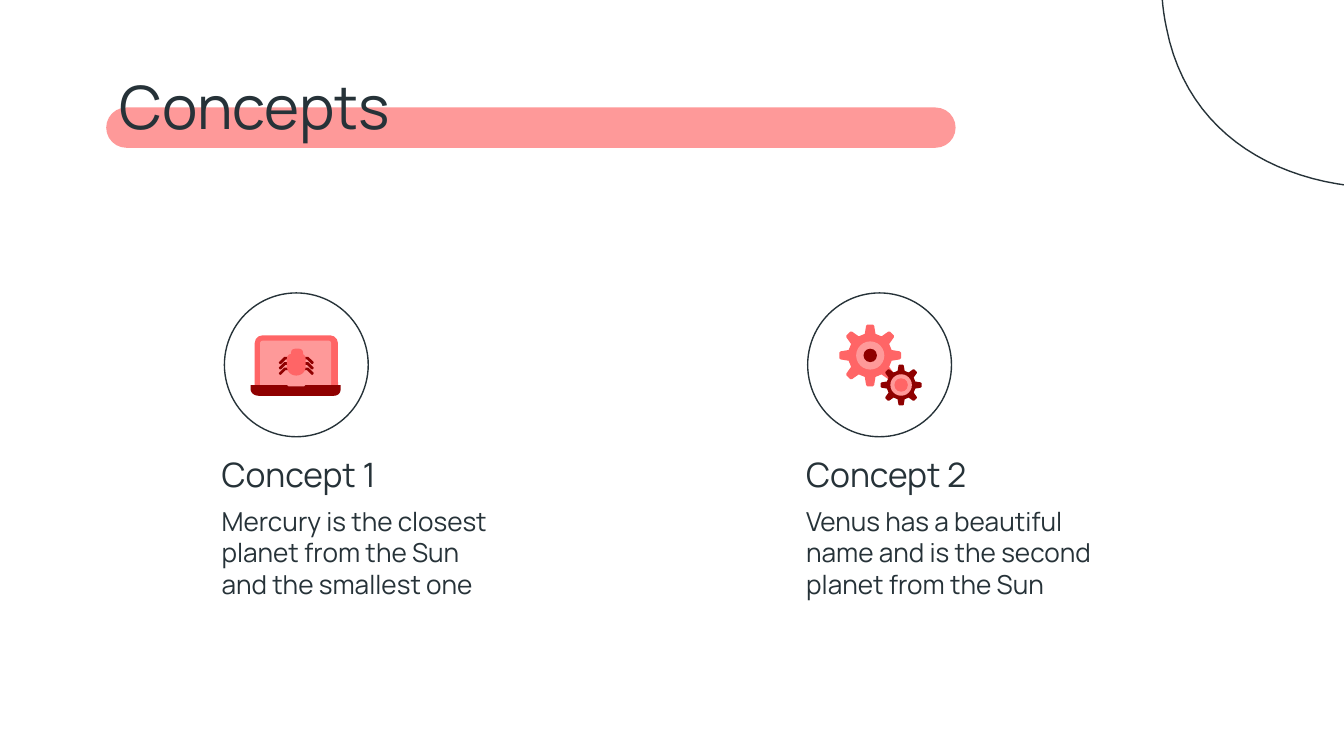
import math
import pptx
import pptx.dml.color
import pptx.enum.shapes
import pptx.enum.text
import pptx.util

# Content
TITLE = "Concepts"
ITEMS = [
    ("Concept 1", "Mercury is the closest planet from the Sun\vand the smallest one"),
    ("Concept 2", "Venus has a beautiful name and is the second planet from the Sun"),
]

THEME = {
    "font": "Manrope", "ink": "263238", "pale": "FE9999", "mid": "FF6566",
    "dark": "8F0000", "title": 32, "head": 18, "body": 14, "line": 0.75,
}
WIDE = 10
HIGH = WIDE * 9 / 16
COLS = {"text": (1.55, 5.9), "icon": (1.67, 6.01)}
ROWS = {"icon": 2.18, "head": 3.28, "body": 3.66}
DISC = 1.07

# Outlines: a pair is a corner, six numbers are a Bezier curve
BLOB = [
    (12.11, -1.85), (12.03, -1.85, 11.93, -1.82, 11.83, -1.77),
    (11.44, -1.57, 11.41, -1.13, 10.88, -1.11),
    (10.83, -1.1, 10.78, -1.1, 10.73, -1.1),
    (10.48, -1.1, 10.24, -1.13, 10.02, -1.13),
    (9.75, -1.13, 9.48, -1.09, 9.18, -0.93),
    (8.68, -0.66, 8.58, -0.26, 8.68, 0.21),
    (8.84, 1.02, 9.54, 1.4, 10.34, 1.4),
    (10.69, 1.4, 11.05, 1.33, 11.39, 1.2),
    (12.49, 0.78, 13, -0.2, 12.75, -1.17),
    (12.68, -1.46, 12.47, -1.85, 12.11, -1.85),
]
# Icon parts are measured from the disc's centre
BASE = [
    (-0.34, 0.15), (-0.34, 0.18), (-0.34, 0.21, -0.31, 0.23, -0.28, 0.23),
    (0.28, 0.23), (0.31, 0.23, 0.33, 0.21, 0.33, 0.18), (0.33, 0.15),
    (0.07, 0.15), (0.06, 0.16), (-0.06, 0.16), (-0.07, 0.15),
]
BODY = [
    (-0.04, -0.08), (-0.06, -0.08, -0.07, -0.06, -0.07, -0.04), (-0.07, 0.01),
    (-0.07, 0.05, -0.04, 0.08, 0, 0.08), (0.04, 0.08, 0.07, 0.05, 0.07, 0.01),
    (0.07, -0.04), (0.07, -0.06, 0.06, -0.08, 0.04, -0.08),
]
LEG = [
    (-0.02, 0), (-0.09, 0), (-0.1, 0.01), (-0.13, 0.04),
    (-0.13, 0.05, -0.12, 0.06, -0.11, 0.05), (-0.08, 0.02), (-0.02, 0.02),
    (-0.01, 0.02, -0.01, 0, -0.02, 0),
]
TOOTH = [(-0.04, -0.16), (-0.03, -0.22), (-0.02, -0.23),
         (0.02, -0.23), (0.03, -0.22), (0.04, -0.16)]

KIND = pptx.enum.shapes.MSO_SHAPE
inch = pptx.util.Inches
deck = pptx.Presentation()
deck.slide_width, deck.slide_height = inch(WIDE), inch(HIGH)
slide = deck.slides.add_slide(deck.slide_layouts[6])
shapes = slide.shapes


def tint(name):
    return pptx.dml.color.RGBColor.from_string(THEME[name])


def paint(shape, fill=None):
    """Fill the shape, or give it a thin ink outline."""
    shape.shadow.inherit = False
    if fill:
        shape.fill.solid()
        shape.fill.fore_color.rgb = tint(fill)
        shape.line.fill.background()
    else:
        shape.fill.background()
        shape.line.color.rgb = tint("ink")
        shape.line.width = pptx.util.Pt(THEME["line"])


def block(kind, x, y, w, h, fill=None, adjust=()):
    shape = shapes.add_shape(kind, inch(x), inch(y), inch(w), inch(h))
    for i, value in enumerate(adjust):
        shape.adjustments[i] = value
    paint(shape, fill)


def disc(x, y, size, fill=None):
    block(KIND.OVAL, x - size / 2, y - size / 2, size, size, fill)


def trace(path, steps=24):
    """Turn corners and curves into a list of points."""
    dots = []
    for part in path:
        if len(part) == 2:
            dots.append(part)
            continue
        knots = [dots[-1], part[:2], part[2:4], part[4:]]
        for n in range(1, steps + 1):
            t = n / steps
            mix = [math.comb(3, k) * t**k * (1 - t)**(3 - k) for k in range(4)]
            dots.append(tuple(sum(m * p[a] for m, p in zip(mix, knots)) for a in (0, 1)))
    return dots


def draw(dots, fill=None, x=0, y=0, flip=1):
    dots = [(inch(x + flip * a), inch(y + b)) for a, b in dots]
    pen = shapes.build_freeform(*dots[0], scale=1)
    pen.add_line_segments(dots[1:], close=True)
    paint(pen.convert_to_shape(), fill)


def write(text, size, x, y, w, h):
    frame = shapes.add_textbox(inch(x), inch(y), inch(w), inch(h)).text_frame
    look = {"word_wrap": True, "vertical_anchor": pptx.enum.text.MSO_ANCHOR.TOP}
    look.update({"margin_" + side: inch(0.1) for side in ("left", "top", "right", "bottom")})
    for key, value in look.items():
        setattr(frame, key, value)
    frame.text = text
    for run in frame.paragraphs[0].runs:
        for key, value in {"name": THEME["font"], "size": pptx.util.Pt(THEME[size])}.items():
            setattr(run.font, key, value)
        run.font.color.rgb = tint("ink")


def laptop(x, y):
    top = KIND.ROUND_2_SAME_RECTANGLE
    block(top, x - 0.31, y - 0.22, 0.62, 0.42, "mid", (0.14, 0))
    block(top, x - 0.27, y - 0.18, 0.53, 0.38, "pale", (0.05, 0))
    for flip in (1, -1):
        for row in range(3):
            draw(trace(LEG, 4), "dark", x, y - 0.06 + row * 0.04, flip)
    block(top, x - 0.04, y - 0.12, 0.09, 0.06, "mid", (0.5, 0))
    draw(trace(BODY, 8), "mid", x, y)
    draw(trace(BASE, 8), "dark", x, y)


def gear(x, y, scale, fill, ring, hub):
    dots = []
    for n in range(8):
        c, s = math.cos(n * math.pi / 4), math.sin(n * math.pi / 4)
        dots += [(scale * (a * c - b * s), scale * (a * s + b * c)) for a, b in TOOTH]
    draw(dots, fill, x, y)
    for size, shade in (ring, hub):
        disc(x, y, size, shade)


def gears(x, y):
    gear(x - 0.07, y - 0.07, 1, "mid", (0.21, "pale"), (0.1, "dark"))
    gear(x + 0.16, y + 0.15, 0.66, "dark", (0.16, "pale"), (0.1, "mid"))


# Title bar and corner curve
block(KIND.ROUNDED_RECTANGLE, 0.79, 0.8, 6.32, 0.3, "pale", (0.5,))
draw(trace(BLOB))
write(TITLE, "title", 0.79, 0.42, 8.43, 0.67)

# One column for each concept
for left, edge, (head, body), icon in zip(COLS["text"], COLS["icon"], ITEMS, (laptop, gears)):
    write(head, "head", left, ROWS["head"], 2.61, 0.41)
    write(body, "body", left, ROWS["body"], 2.61, 0.93)
    mid, level = edge + DISC / 2, ROWS["icon"] + DISC / 2
    disc(mid, level, DISC)
    icon(mid, level)

deck.save("out.pptx")
